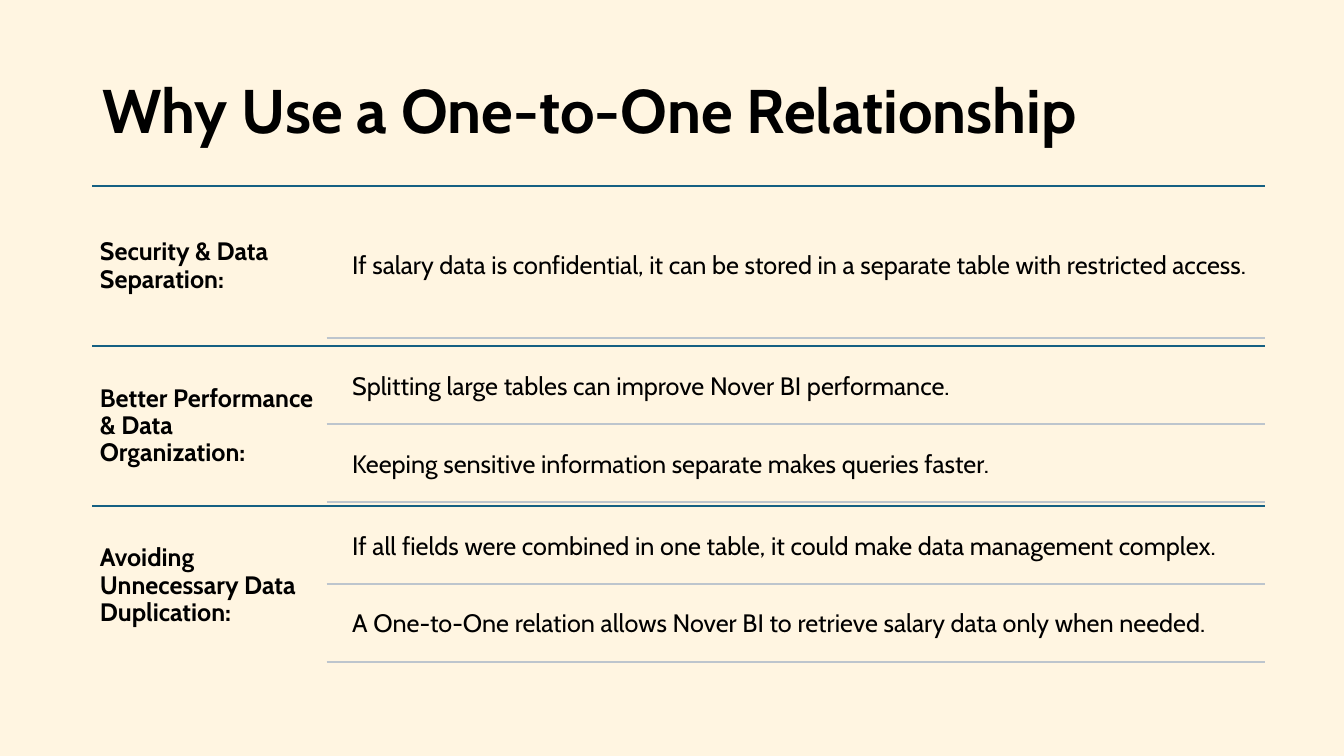
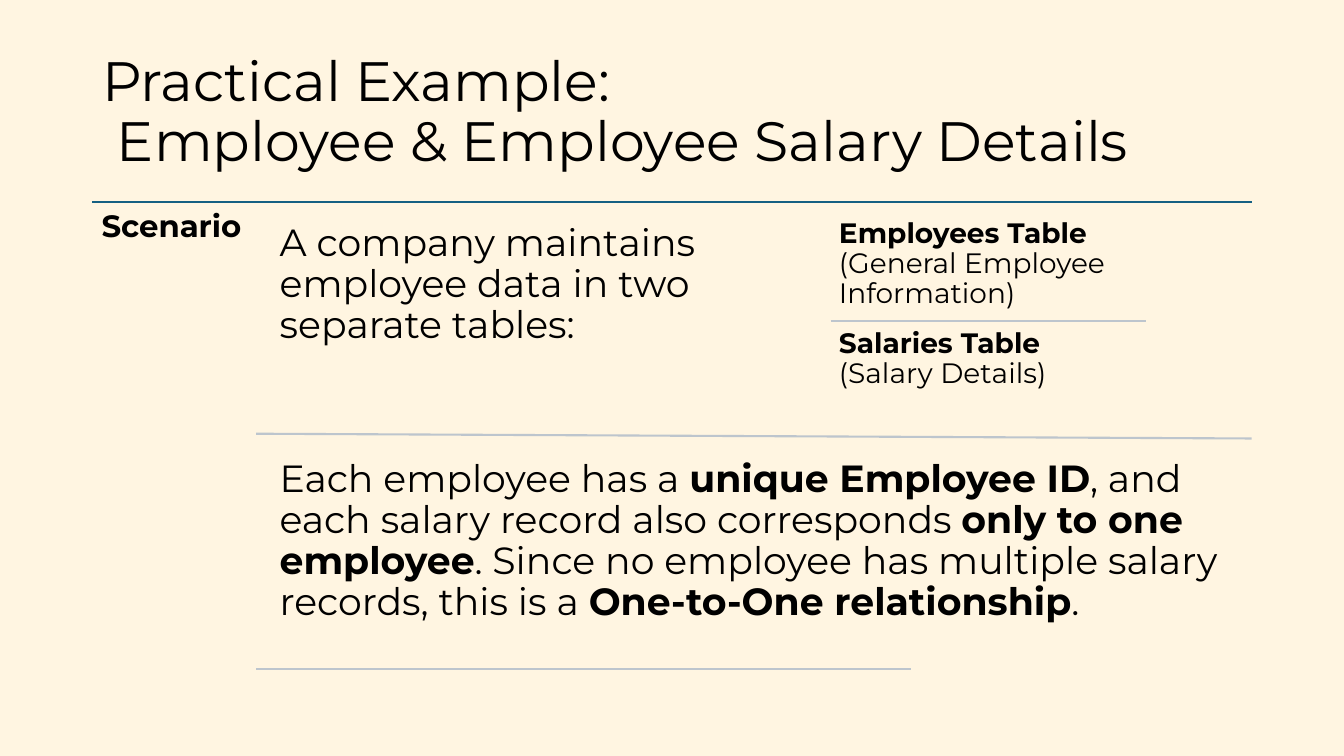
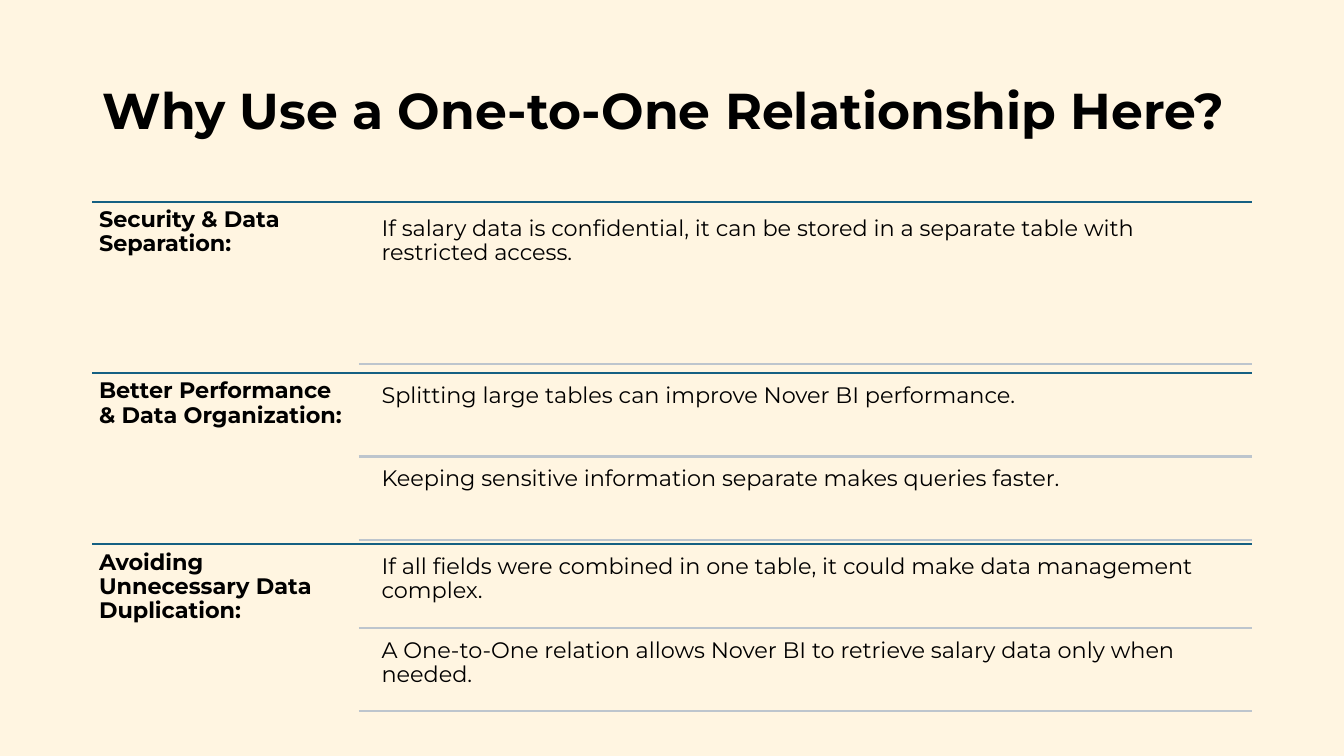
from copy import deepcopy

from pptx import Presentation
from pptx.dml.color import RGBColor
from pptx.enum.shapes import MSO_CONNECTOR
from pptx.enum.text import MSO_ANCHOR, MSO_AUTO_SIZE, PP_ALIGN
from pptx.oxml.ns import qn
from pptx.util import Pt
from lxml.etree import SubElement

COLORS = {"background": "FFF5E1", "text": "000000", "section": "156082", "divider": "BDC5CD"}
LEFT = 66
LINE_SPACING = 0.9
INSET_PER_POINT = 0.3  # text inset as a share of the font size
GAP_SHARE = 0.05  # gap around details as a share of their row height

REASONS = [
    ("Security & Data Separation:", [
        "If salary data is confidential, it can be stored in a separate table with restricted access.",
    ]),
    ("Better Performance & Data Organization:", [
        "Splitting large tables can improve Nover BI performance.",
        "Keeping sensitive information separate makes queries faster.",
    ]),
    ("Avoiding Unnecessary Data Duplication:", [
        "If all fields were combined in one table, it could make data management complex.",
        "A One-to-One relation allows Nover BI to retrieve salary data only when needed.",
    ]),
]

OVERVIEW = {
    "title": "Why Use a One-to-One Relationship", "title_size": 44, "font": "Cabin", "size": 18,
    "top": 133.2, "section_height": 114.1, "label_width": 167.4,
    "divider_left": 233.4, "detail_left": 246.2, "right": 903.6, "anchor": MSO_ANCHOR.MIDDLE,
}
APPLIED = {
    "title": "Why Use a One-to-One Relationship Here?", "title_size": 36, "font": "Montserrat", "size": 16,
    "top": 144, "section_height": 122.4, "label_width": 190.4,
    "divider_left": 256.4, "detail_left": 267.8, "right": 894, "anchor": MSO_ANCHOR.TOP,
}

EXAMPLE_TITLE = "Practical Example:\v Employee & Employee Salary Details"
EXAMPLE_FONT = "Montserrat"
# (left, top, width, height), size, runs as (text, bold)
EXAMPLE_TEXTS = [
    ((LEFT, 144, 116.9, 342.6), 22, [("Scenario", True)]),
    ((191.7, 152, 319.5, 157.8), 27, [("A company maintains employee data in two separate tables:", False)]),
    ((593.3, 150.6, 225.4, 78.4), 20, [("Employees Table", True), (" (General Employee Information)", False)]),
    ((593.3, 229, 225.4, 78.4), 20, [("Salaries Table", True), (" (Salary Details)", False)]),
    ((191.7, 320.4, 689, 157.8), 27, [
        ("Each employee has a ", False),
        ("unique Employee ID", True),
        (", and each salary record also corresponds ", False),
        ("only to one employee", True),
        (". Since no employee has multiple salary records, this is a ", False),
        ("One-to-One relationship", True),
        (".", False),
    ]),
]
# start x, start y, end x, end y, color
EXAMPLE_LINES = [
    (LEFT, 144, 894, 144, "section"),
    (593.3, 229, 818.7, 229, "divider"),
    (182.9, 309.8, 894, 313.2, "divider"),
    (182.9, 478.2, 650.9, 478.2, "divider"),
]


def color(name):
    return RGBColor.from_string(COLORS[name])


def format_run(run, font, size, bold):
    run.font.name = font
    run.font.size = Pt(size)
    run.font.bold = bold
    run.font.color.rgb = color("text")


def add_titled_slide(presentation, title, font, size, bold):
    slide = presentation.slides.add_slide(presentation.slide_layouts.get_by_name("Title Only"))
    shape = slide.shapes.title
    shape.left, shape.top, shape.width, shape.height = Pt(LEFT), Pt(28.75), Pt(828), Pt(104.4)
    frame = shape.text_frame
    frame.text = title
    frame.auto_size = MSO_AUTO_SIZE.NONE
    frame.vertical_anchor = MSO_ANCHOR.MIDDLE
    paragraph = frame.paragraphs[0]
    paragraph.alignment = PP_ALIGN.LEFT
    paragraph.line_spacing = LINE_SPACING
    for run in paragraph.runs:
        format_run(run, font, size, bold)
    # A line break carries its own font size, which sets the line height
    for line_break in paragraph._p.findall(qn("a:br")):
        line_break.append(deepcopy(paragraph.runs[0]._r.rPr))
    return slide


def add_text(slide, box, runs, font, size, anchor=MSO_ANCHOR.TOP):
    frame = slide.shapes.add_textbox(*map(Pt, box)).text_frame
    frame.word_wrap = True
    frame.vertical_anchor = anchor
    inset = Pt(size * INSET_PER_POINT)
    frame.margin_left = frame.margin_top = frame.margin_right = frame.margin_bottom = inset
    paragraph = frame.paragraphs[0]
    paragraph.line_spacing = LINE_SPACING
    for text, bold in runs:
        run = paragraph.add_run()
        run.text = text
        format_run(run, font, size, bold)


def add_line(slide, start_x, start_y, end_x, end_y, color_name):
    line = slide.shapes.add_connector(
        MSO_CONNECTOR.STRAIGHT, Pt(start_x), Pt(start_y), Pt(end_x), Pt(end_y))
    line.line.color.rgb = color(color_name)
    line.line.width = Pt(1.5)
    SubElement(line._element.spPr, qn("a:effectLst"))


def add_reasons_slide(presentation, style):
    font, size, anchor = style["font"], style["size"], style["anchor"]
    right, height = style["right"], style["section_height"]
    slide = add_titled_slide(presentation, style["title"], font, style["title_size"], True)
    for index, (label, details) in enumerate(REASONS):
        top = style["top"] + index * height
        add_line(slide, LEFT, top, right, top, "section")
        add_text(slide, (LEFT, top, style["label_width"], height), [(label, True)], font, size, anchor)
        count = len(details)
        gap = GAP_SHARE * height / count
        detail_height = (height - (count + 1) * gap) / count
        for row, detail in enumerate(details):
            detail_top = top + gap + row * (detail_height + gap)
            box = (style["detail_left"], detail_top, right - style["detail_left"], detail_height)
            add_text(slide, box, [(detail, False)], font, size, anchor)
            bottom = detail_top + detail_height
            add_line(slide, style["divider_left"], bottom, right, bottom, "divider")


def add_example_slide(presentation):
    slide = add_titled_slide(presentation, EXAMPLE_TITLE, EXAMPLE_FONT, 39.6, False)
    for line in EXAMPLE_LINES:
        add_line(slide, *line)
    for box, size, runs in EXAMPLE_TEXTS:
        add_text(slide, box, runs, EXAMPLE_FONT, size)


def main():
    presentation = Presentation()
    presentation.slide_width, presentation.slide_height = Pt(960), Pt(540)
    background = presentation.slide_master.background.fill
    background.solid()
    background.fore_color.rgb = color("background")
    add_reasons_slide(presentation, OVERVIEW)
    add_example_slide(presentation)
    add_reasons_slide(presentation, APPLIED)
    presentation.save("out.pptx")


if __name__ == "__main__":
    main()
